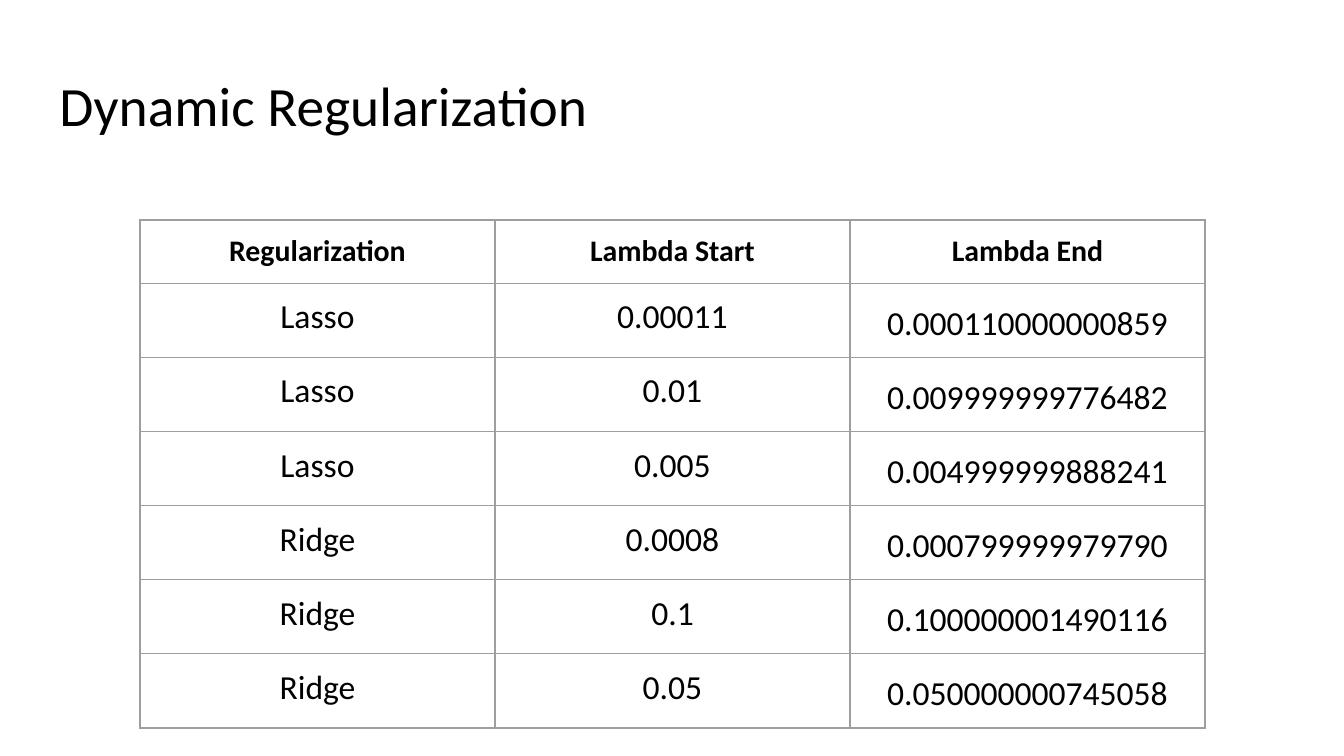
from lxml import etree
from pptx import Presentation
from pptx.dml.color import RGBColor
from pptx.enum.text import MSO_ANCHOR, MSO_AUTO_SIZE, PP_ALIGN
from pptx.oxml.ns import qn
from pptx.util import Inches, Pt

LEFT, CENTER = PP_ALIGN.LEFT, PP_ALIGN.CENTER
TOP, MIDDLE = MSO_ANCHOR.TOP, MSO_ANCHOR.MIDDLE
NO_AUTOFIT = MSO_AUTO_SIZE.NONE

BLACK = RGBColor(0x00, 0x00, 0x00)
GRAY = RGBColor(0x9E, 0x9E, 0x9E)

EMU_PER_PX = 914400 / 134.4
SLIDE_WIDTH, SLIDE_HEIGHT = 1344, 756
TITLE_ONLY = 5
INSET = Inches(0.1)

HEADERS = ("Regularization", "Lambda Start", "Lambda End")
RESULTS = (
    ("Lasso", "0.00011", "0.000110000000859"),
    ("Lasso", "0.01", "0.009999999776482"),
    ("Lasso", "0.005", "0.004999999888241"),
    ("Ridge", "0.0008", "0.000799999979790"),
    ("Ridge", "0.1", "0.100000001490116"),
    ("Ridge", "0.05", "0.050000000745058"),
)


def px(length):
    return round(length * EMU_PER_PX)


class SlideBuilder:
    font_name = "Calibri"
    border_width = Pt(0.75)

    def __init__(self, slide):
        self.slide = slide

    def add_text(self, text_frame, text, size, bold=False, align=CENTER, spacing=1.0):
        paragraph = text_frame.paragraphs[0]
        paragraph.alignment = align
        paragraph.line_spacing = spacing
        run = paragraph.add_run()
        run.text = text
        run.font.name = self.font_name
        run.font.size = Pt(size)
        run.font.bold = bold
        run.font.color.rgb = BLACK

    def set_insets(self, target):
        target.margin_left = target.margin_right = INSET
        target.margin_top = target.margin_bottom = INSET

    def title(self, text, left, top, width, height):
        shape = self.slide.shapes.title
        shape.left, shape.top = px(left), px(top)
        shape.width, shape.height = px(width), px(height)
        text_frame = shape.text_frame
        text_frame.word_wrap = True
        text_frame.auto_size = NO_AUTOFIT
        text_frame.vertical_anchor = MIDDLE
        self.set_insets(text_frame)
        self.add_text(text_frame, text, 29.7, align=LEFT, spacing=0.9)

    def border(self, cell):
        properties = cell._tc.get_or_add_tcPr()
        for position, side in enumerate(("a:lnL", "a:lnR", "a:lnT", "a:lnB")):
            line = etree.Element(qn(side), w=str(self.border_width))
            fill = etree.SubElement(line, qn("a:solidFill"))
            etree.SubElement(fill, qn("a:srgbClr"), val=str(GRAY))
            properties.insert(position, line)

    def table(self, headers, results, left, top, column_width, row_height):
        rows = (headers, *results)
        table = self.slide.shapes.add_table(
            len(rows), len(headers), px(left), px(top),
            px(column_width * len(headers)), px(row_height * len(rows)),
        ).table
        table.first_row = table.horz_banding = False
        for column in table.columns:
            column.width = px(column_width)
        last_column = len(headers) - 1
        for row_index, values in enumerate(rows):
            table.rows[row_index].height = px(row_height)
            is_header = row_index == 0
            for column_index, value in enumerate(values):
                cell = table.cell(row_index, column_index)
                cell.fill.background()
                cell.vertical_anchor = TOP
                self.set_insets(cell)
                self.border(cell)
                # The end values have wider line spacing
                is_end_value = column_index == last_column and not is_header
                self.add_text(cell.text_frame, value, 16 if is_header else 18,
                              bold=is_header, spacing=1.15 if is_end_value else 1.0)


def main():
    presentation = Presentation()
    presentation.slide_width = px(SLIDE_WIDTH)
    presentation.slide_height = px(SLIDE_HEIGHT)
    slide = presentation.slides.add_slide(presentation.slide_layouts[TITLE_ONLY])
    builder = SlideBuilder(slide)

    # Title
    builder.title("Dynamic Regularization", left=46, top=66, width=1252, height=85)

    # Lambda table
    builder.table(HEADERS, RESULTS, left=140, top=220, column_width=355, row_height=57)

    presentation.save("out.pptx")


if __name__ == "__main__":
    main()
